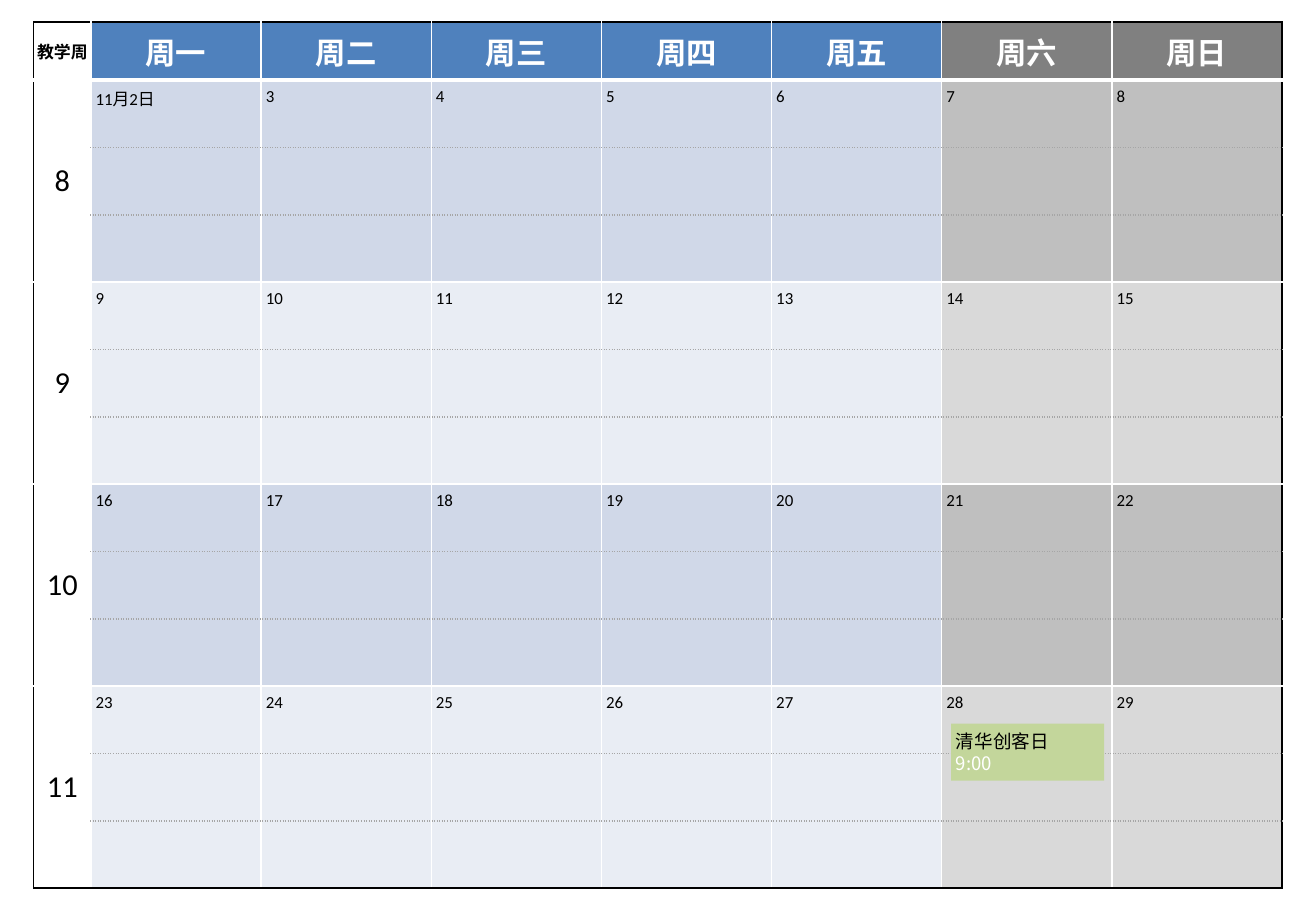
"""Build a four-week teaching calendar slide with one highlighted event."""
from pptx import Presentation
from pptx import util as u
from pptx.dml import color
from pptx.enum import shapes, text
from pptx.oxml import ns
from lxml import etree

COLORS = {
    "black": "000000", "white": "FFFFFF", "dots": "A6A6A6",
    "weekday_header": "4F81BD", "weekend_header": "808080",
    "weekday_dark": "D0D8E8", "weekday_light": "E9EDF4",
    "weekend_dark": "BFBFBF", "weekend_light": "D9D9D9",
    "event": "C3D69B",
}
HEADERS = ["教学周", "周一", "周二", "周三", "周四", "周五", "周六", "周日"]
FIRST_WEEK, WEEKS, ROWS_PER_WEEK, FIRST_DAY = 8, 4, 3, 2
ROWS = 1 + WEEKS * ROWS_PER_WEEK
WEEK_WIDTH, DAY_WIDTH = 33.9, 100.88
HEADER_HEIGHT, ROW_HEIGHT = 34.5, 39.94


def write_text(paragraph, content, size=10, name="Calibri", fill="black",
               bold=False, align=text.PP_ALIGN.LEFT):
    paragraph.alignment = align
    run = paragraph.add_run()
    run.text = content
    run.font.size = u.Pt(size)
    run.font.name = name
    run.font.bold = bold
    run.font.color.rgb = color.RGBColor.from_string(COLORS[fill])
    east_asian = etree.SubElement(run.font._element, ns.qn("a:ea"))
    east_asian.set("typeface", "Noto Sans CJK SC")


def add_border(cell, side, fill, width=1):
    properties = cell._tc.get_or_add_tcPr()
    line = etree.SubElement(properties, ns.qn(f"a:ln{side}"), w=str(u.Pt(width)))
    solid = etree.SubElement(line, ns.qn("a:solidFill"))
    etree.SubElement(solid, ns.qn("a:srgbClr"), val=COLORS[fill])
    dash = "sysDot" if fill == "dots" else "solid"
    etree.SubElement(line, ns.qn("a:prstDash"), val=dash)


presentation = Presentation()
presentation.slide_width = u.Pt(780)
presentation.slide_height = u.Pt(540)
slide = presentation.slides.add_slide(presentation.slide_layouts[6])

calendar = slide.shapes.add_table(
    ROWS, len(HEADERS), u.Pt(20), u.Pt(13),
    u.Pt(WEEK_WIDTH + 7 * DAY_WIDTH),
    u.Pt(HEADER_HEIGHT + (ROWS - 1) * ROW_HEIGHT)).table
calendar.first_row = False
calendar.horz_banding = False
for index, column in enumerate(calendar.columns):
    column.width = u.Pt(DAY_WIDTH if index else WEEK_WIDTH)
for index, row in enumerate(calendar.rows):
    row.height = u.Pt(ROW_HEIGHT if index else HEADER_HEIGHT)
for top in range(1, ROWS, ROWS_PER_WEEK):
    calendar.cell(top, 0).merge(calendar.cell(top + ROWS_PER_WEEK - 1, 0))

for row in range(ROWS):
    week, part = divmod(row - 1, ROWS_PER_WEEK)
    for column, header in enumerate(HEADERS):
        cell = calendar.cell(row, column)
        if cell.is_spanned:
            continue
        is_header, is_week = row == 0, column == 0
        last_row = row + (ROWS_PER_WEEK if is_week and not is_header else 1) == ROWS

        if is_week:
            add_border(cell, "L", "black")
        elif column > 1:
            add_border(cell, "L", "white")
        if not is_week:
            add_border(cell, "R", "black" if column == 7 else "white")
        if is_header:
            add_border(cell, "T", "black")
            add_border(cell, "B", "white", width=3)
        else:
            add_border(cell, "T", "white" if part == 0 else "dots",
                       width=3 if row == 1 else 1)
            inside_week = not is_week and part < ROWS_PER_WEEK - 1
            add_border(cell, "B", "black" if last_row else
                       "dots" if inside_week else "white")

        shade = "header" if is_header else "light" if week % 2 else "dark"
        day_type = "weekend" if column > 5 else "weekday"
        fill = "white" if is_week else f"{day_type}_{shade}"
        cell.fill.solid()
        cell.fill.fore_color.rgb = color.RGBColor.from_string(COLORS[fill])

        centred = is_header or is_week
        cell.margin_left = cell.margin_right = u.Pt(0 if centred else 2.8)
        cell.margin_top = cell.margin_bottom = u.Pt(0 if centred else 3.6)
        paragraph = cell.text_frame.paragraphs[0]
        if centred:
            cell.vertical_anchor = text.MSO_ANCHOR.MIDDLE
            write_text(paragraph, header if is_header else str(FIRST_WEEK + week),
                       size=10 if is_header and is_week else 18,
                       fill="black" if is_week else "white",
                       bold=is_header, align=text.PP_ALIGN.CENTER)
        elif part == 0:
            day = FIRST_DAY + 7 * week + column - 1
            write_text(paragraph, "11月2日" if day == FIRST_DAY else str(day))

event = slide.shapes.add_shape(shapes.MSO_SHAPE.RECTANGLE, u.Pt(563.8),
                               u.Pt(429), u.Pt(90.7), u.Pt(33.8))
event.shadow.inherit = False
event.fill.solid()
event.fill.fore_color.rgb = color.RGBColor.from_string(COLORS["event"])
event.line.fill.background()
frame = event.text_frame
frame.word_wrap = True
frame.vertical_anchor = text.MSO_ANCHOR.MIDDLE
frame.margin_left = frame.margin_right = u.Pt(2.8)
frame.margin_top = frame.margin_bottom = u.Pt(0)
write_text(frame.paragraphs[0], "清华创客日", size=11, name="Noto Sans CJK SC")
write_text(frame.add_paragraph(), "9:00", size=11, name="Noto Sans CJK SC",
           fill="white")

presentation.save("out.pptx")
